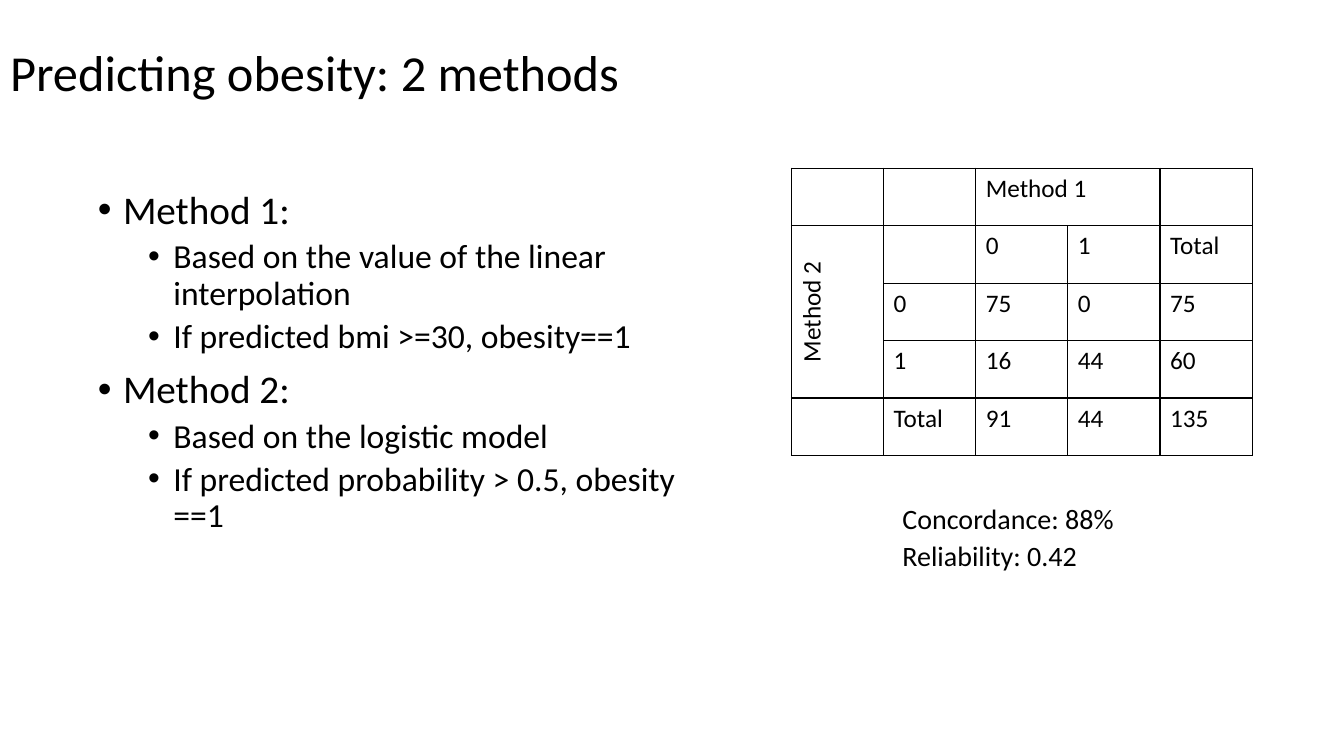
from lxml import etree
from pptx import Presentation
from pptx import util as u
from pptx.dml import color
from pptx.enum import text
from pptx.oxml import ns

TITLE = "Predicting obesity: 2 methods"
METHODS = [
    ("Method 1:", ["Based on the value of the linear interpolation",
                   "If predicted bmi >=30, obesity==1"]),
    ("Method 2:", ["Based on the logistic model",
                   "If predicted probability > 0.5, obesity ==1"]),
]
AGREEMENT = [
    ["", "", "Method 1", "", ""],
    ["Method 2", "", "0", "1", "Total"],
    ["", "0", "75", "0", "75"],
    ["", "1", "16", "44", "60"],
    ["", "Total", "91", "44", "135"],
]
MERGES = [((0, 2), (0, 3)), ((1, 0), (3, 0))]
VERTICAL = (1, 0)
RESULTS = ["Concordance: 88%", "Reliability: 0.42"]

FONT, INK = "Calibri", "000000"
WIDTH, HEIGHT = 13.33, 7.5
TITLE_BOX = (0, 0.02, 11.5, 1.45)
METHODS_BOX = (0.87, 1.84, 5.97, 5.31)
TABLE_BOX = (7.85, 1.67, 4.57, 2.85)
RESULTS_BOX = (7.85, 4.59, 4.57, 2.29)
LEVELS = [(28, 10, 0.25), (24, 5, 0.75)]


def rgb(value):
    return color.RGBColor.from_string(value)


def inches(box):
    return [u.Inches(length) for length in box]


def place(shape, box):
    shape.left, shape.top, shape.width, shape.height = inches(box)
    shape.text_frame.word_wrap = True
    shape.text_frame.auto_size = text.MSO_AUTO_SIZE.NONE
    return shape.text_frame


def write(para, words, size, before=0, spacing=1.0):
    para.alignment = text.PP_ALIGN.LEFT
    para.line_spacing = spacing
    para.space_before = u.Pt(before)
    span = para.add_run()
    span.text = words
    span.font.name, span.font.size = FONT, u.Pt(size)
    span.font.color.rgb = rgb(INK)


def paragraph(frame, index):
    return frame.add_paragraph() if index else frame.paragraphs[0]


def bullet(para, indent):
    props = para._p.get_or_add_pPr()
    props.set("marL", str(u.Inches(indent)))
    props.set("indent", str(u.Inches(-0.25)))
    etree.SubElement(props, ns.qn("a:buFont")).set("typeface", "Arial")
    etree.SubElement(props, ns.qn("a:buChar")).set("char", "•")


def outline(cell):
    cell.fill.background()
    props = cell._tc.get_or_add_tcPr()
    for index, side in enumerate(("lnL", "lnR", "lnT", "lnB")):
        line = etree.Element(ns.qn(f"a:{side}"), w=str(u.Pt(1)))
        fill = etree.SubElement(line, ns.qn("a:solidFill"))
        etree.SubElement(fill, ns.qn("a:srgbClr")).set("val", INK)
        props.insert(index, line)


def add_title(page):
    frame = place(page.shapes.title, TITLE_BOX)
    frame.vertical_anchor = text.MSO_ANCHOR.MIDDLE
    write(frame.paragraphs[0], TITLE, 36, spacing=0.9)


def add_methods(page):
    frame = place(page.placeholders[1], METHODS_BOX)
    lines = []
    for method, details in METHODS:
        lines += [(0, method)] + [(1, detail) for detail in details]
    for index, (level, words) in enumerate(lines):
        size, before, indent = LEVELS[level]
        para = paragraph(frame, index)
        para.level = level
        write(para, words, size, before, 0.9)
        bullet(para, indent)


def add_agreement(page):
    rows, columns = len(AGREEMENT), len(AGREEMENT[0])
    table = page.shapes.add_table(rows, columns, *inches(TABLE_BOX)).table
    table.first_row = table.horz_banding = False
    for r, row in enumerate(AGREEMENT):
        for c, words in enumerate(row):
            cell = table.cell(r, c)
            outline(cell)
            if words:
                write(cell.text_frame.paragraphs[0], words, 18)
    for start, end in MERGES:
        table.cell(*start).merge(table.cell(*end))
    side = table.cell(*VERTICAL)
    side._tc.get_or_add_tcPr().set("vert", "vert270")
    side.text_frame.paragraphs[0].alignment = text.PP_ALIGN.CENTER


def add_results(page):
    frame = place(page.shapes.add_textbox(*inches(RESULTS_BOX)), RESULTS_BOX)
    frame.margin_left, frame.margin_top = u.Inches(1.1), u.Inches(0.42)
    for index, words in enumerate(RESULTS):
        write(paragraph(frame, index), words, 20, 5 if index else 0, 0.9)


def main():
    deck = Presentation()
    deck.slide_width, deck.slide_height = inches((WIDTH, HEIGHT))
    page = deck.slides.add_slide(deck.slide_layouts[1])
    page.background.fill.solid()
    page.background.fill.fore_color.rgb = rgb("FFFFFF")
    add_title(page)
    add_results(page)
    add_agreement(page)
    add_methods(page)
    deck.save("out.pptx")


if __name__ == "__main__":
    main()
